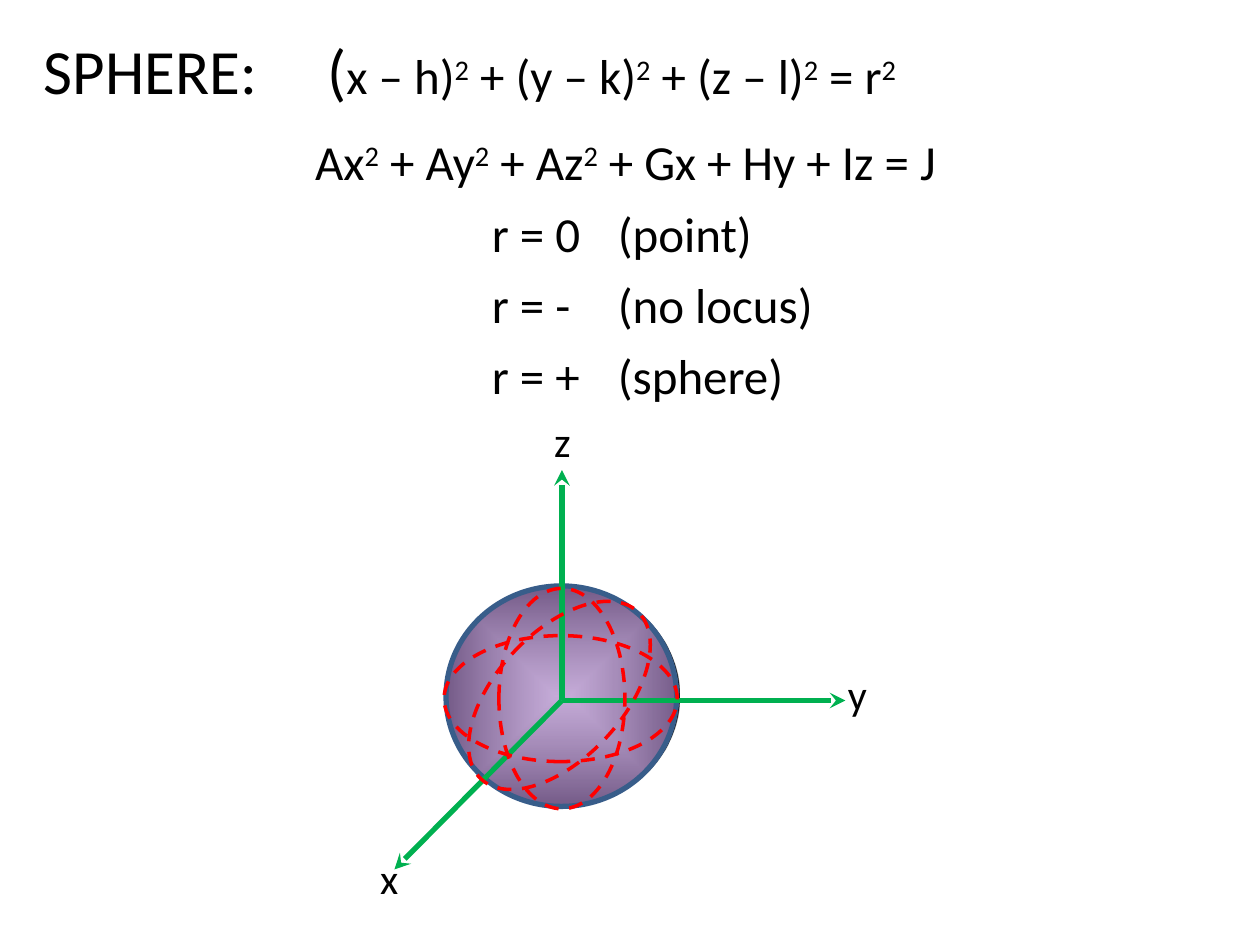
from dataclasses import dataclass

from lxml import etree
from pptx import Presentation
from pptx.dml.color import RGBColor
from pptx.enum import dml, shapes, text
from pptx.oxml import parse_xml
from pptx.oxml.ns import nsdecls, qn
from pptx.util import Pt


@dataclass(frozen=True)
class Theme:
    font: str = "Calibri"
    ink: str = "000000"
    axis: str = "00B050"
    section: str = "FF0000"
    sphere: str = "7030A0"
    sphere_edge: str = "385D8A"
    shade_center: str = "FFFFFF"
    shade_edge: str = "767676"
    title_size: float = 36
    formula_size: float = 28
    label_size: float = 24


@dataclass(frozen=True)
class Formula:
    terms: tuple[str, ...]  # normal and superscript text in turn
    tabs: tuple[float, ...]
    space_before: float = 7
    heading: str = ""


@dataclass(frozen=True)
class Ellipse:
    left: float
    top: float
    width: float
    height: float
    line_color: str
    line_width: float
    rotation: float = 0
    dashed: bool = False


@dataclass(frozen=True)
class Axis:
    name: str
    end: tuple[float, float]
    label: tuple[float, float, float, float]


THEME = Theme()
ORIGIN = (321.1, 400.3)
CASE_TABS = (256, 328)

FORMULAS = (
    Formula(("x – h)", "2", " + (y – k)", "2", " + (z – l)", "2", " = r", "2"),
            (162,), 0, "SPHERE:\t("),
    Formula(("\tAx", "2", " + Ay", "2", " + Az", "2", " + Gx + Hy + Iz = J"),
            (155,), 14),
    Formula(("\tr = 0\t(point)",), CASE_TABS),
    Formula(("\tr = -\t(no locus)",), CASE_TABS),
    Formula(("\tr = +\t(sphere)",), CASE_TABS),
)
SHADE = Ellipse(254.2, 334.8, 133.9, 126, THEME.ink, 0.75)
SPHERE = Ellipse(254.9, 334.8, 131.8, 126, THEME.sphere_edge, 3)
SECTIONS = (
    Ellipse(285.1, 336.2, 72, 126, THEME.section, 2, 0, True),
    Ellipse(283.7, 331.9, 72, 131, THEME.section, 2, 43.1, True),
    Ellipse(284.4, 332.6, 72, 133.2, THEME.section, 2, 270, True),
)
AXES = (
    Axis("z", (321.1, 268.6), (309.6, 234, 23.8, 36)),
    Axis("y", (483.1, 400.3), (477.4, 378.7, 25.2, 36)),
    Axis("x", (225.4, 496.8), (210.2, 483.8, 24.5, 36)),
)


def color(value: str) -> RGBColor:
    return RGBColor.from_string(value)


def style_font(font, size: float) -> None:
    font.name = THEME.font
    font.size = Pt(size)
    font.color.rgb = color(THEME.ink)


def set_tabs(paragraph, positions: tuple[float, ...]) -> None:
    tab_list = etree.SubElement(paragraph._p.get_or_add_pPr(), qn("a:tabLst"))
    for position in positions:
        etree.SubElement(tab_list, qn("a:tab"), pos=str(int(Pt(position))), algn="l")


def add_run(paragraph, content: str, size: float, raised: bool = False) -> None:
    run = paragraph.add_run()
    run.text = content
    style_font(run.font, size)
    if raised:
        run.font._element.set("baseline", "30000")


def add_formulas(slide) -> None:
    frame = slide.shapes.add_textbox(Pt(18), Pt(12.2), Pt(671.8), Pt(239.8)).text_frame
    frame.word_wrap = True
    frame.margin_top = Pt(6)
    for index, formula in enumerate(FORMULAS):
        paragraph = frame.paragraphs[0] if index == 0 else frame.add_paragraph()
        paragraph.alignment = text.PP_ALIGN.JUSTIFY
        paragraph.space_before = Pt(formula.space_before)
        set_tabs(paragraph, formula.tabs)
        if formula.heading:
            add_run(paragraph, formula.heading, THEME.title_size)
        for order, term in enumerate(formula.terms):
            add_run(paragraph, term, THEME.formula_size, raised=order % 2 == 1)


def add_ellipse(slide, ellipse: Ellipse):
    shape = slide.shapes.add_shape(
        shapes.MSO_SHAPE.OVAL, Pt(ellipse.left), Pt(ellipse.top),
        Pt(ellipse.width), Pt(ellipse.height))
    shape.shadow.inherit = False
    shape.rotation = ellipse.rotation
    shape.fill.background()
    shape.line.color.rgb = color(ellipse.line_color)
    shape.line.width = Pt(ellipse.line_width)
    if ellipse.dashed:
        shape.line.dash_style = dml.MSO_LINE.DASH
    return shape


def add_sphere(slide) -> None:
    # Shading that darkens from the centre outwards
    properties = add_ellipse(slide, SHADE)._element.spPr
    gradient = parse_xml(
        f'<a:gradFill {nsdecls("a")} rotWithShape="1"><a:gsLst>'
        f'<a:gs pos="0"><a:srgbClr val="{THEME.shade_center}">'
        '<a:alpha val="79000"/></a:srgbClr></a:gs>'
        f'<a:gs pos="100000"><a:srgbClr val="{THEME.shade_edge}"/></a:gs></a:gsLst>'
        '<a:path path="rect"><a:fillToRect l="50000" t="50000" r="50000" b="50000"/>'
        '</a:path></a:gradFill>')
    properties.replace(properties.find(qn("a:noFill")), gradient)

    # Translucent colour over the shading
    sphere = add_ellipse(slide, SPHERE)
    sphere.fill.solid()
    sphere.fill.fore_color.rgb = color(THEME.sphere)
    fill_color = sphere._element.spPr.find(qn("a:solidFill")).find(qn("a:srgbClr"))
    etree.SubElement(fill_color, qn("a:alpha"), val="40000")


def add_axis(slide, axis: Axis) -> None:
    # Arrow from the origin
    connector = slide.shapes.add_connector(
        shapes.MSO_CONNECTOR.STRAIGHT, *map(Pt, ORIGIN + axis.end))
    connector.line.color.rgb = color(THEME.axis)
    connector.line.width = Pt(3)
    etree.SubElement(connector.line._get_or_add_ln(), qn("a:tailEnd"), type="stealth")
    etree.SubElement(connector._element.spPr, qn("a:effectLst"))

    # Name beside the arrowhead
    frame = slide.shapes.add_textbox(*map(Pt, axis.label)).text_frame
    frame.word_wrap = False
    frame.auto_size = text.MSO_AUTO_SIZE.SHAPE_TO_FIT_TEXT
    paragraph = frame.paragraphs[0]
    paragraph.text = axis.name
    style_font(paragraph.font, THEME.label_size)


def main() -> None:
    presentation = Presentation()
    presentation.slide_width, presentation.slide_height = Pt(720), Pt(540)
    slide = presentation.slides.add_slide(presentation.slide_layouts[6])

    add_sphere(slide)
    add_formulas(slide)
    for axis in AXES:
        add_axis(slide, axis)
    for section in SECTIONS:
        add_ellipse(slide, section)

    presentation.save("out.pptx")


if __name__ == "__main__":
    main()
